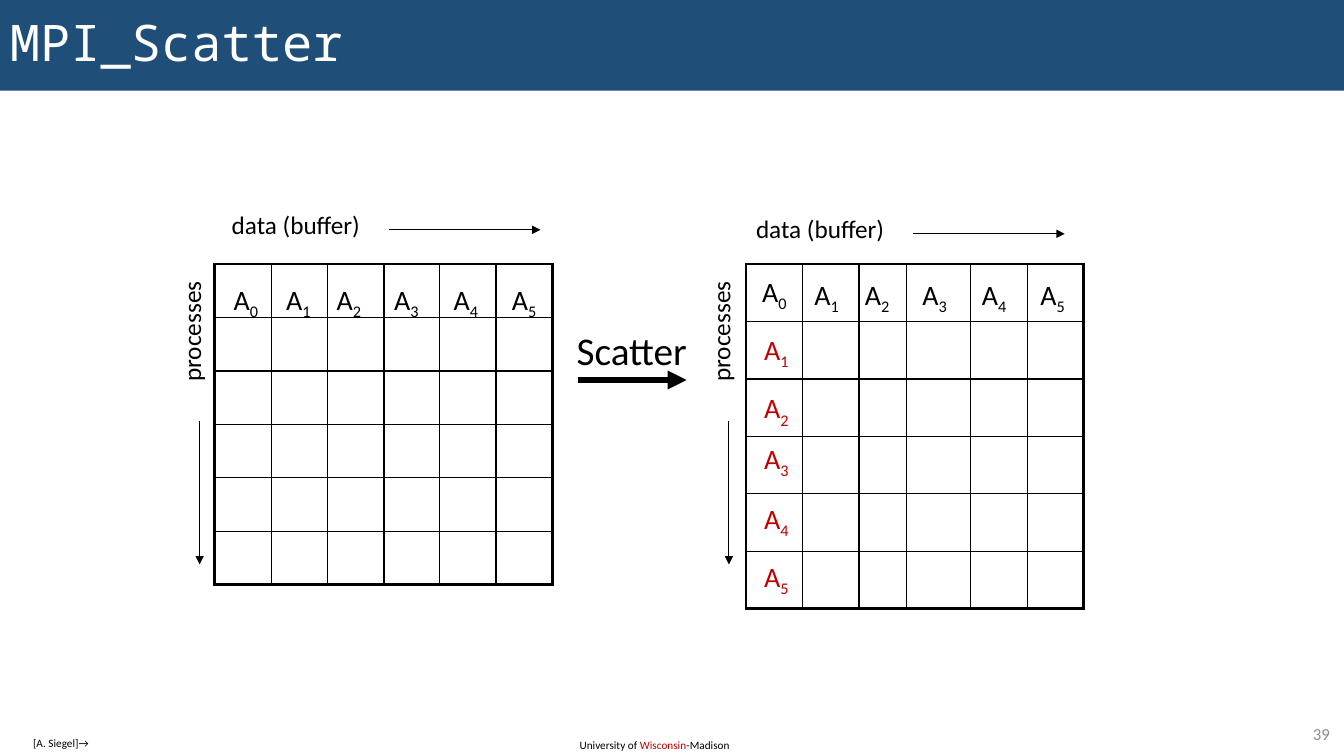
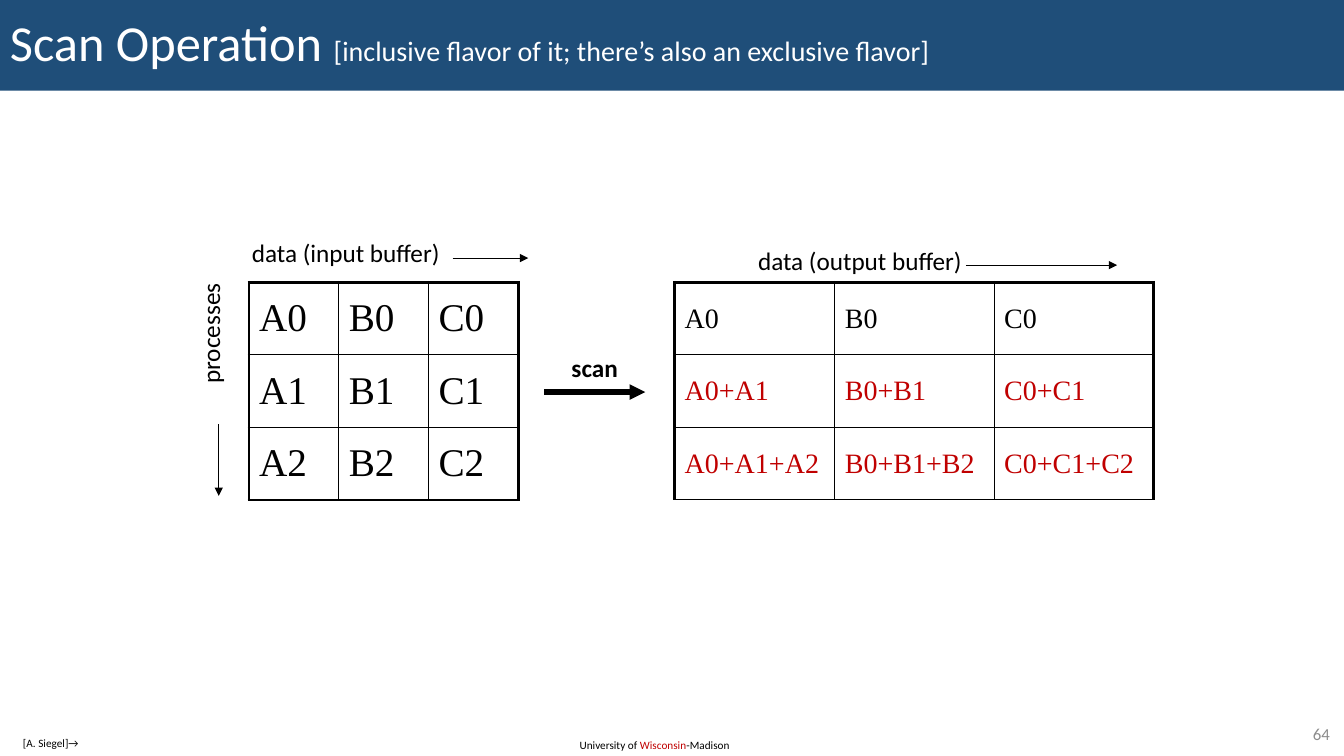
from pptx import Presentation
from pptx.dml.color import RGBColor
from pptx.enum.shapes import MSO_CONNECTOR, MSO_SHAPE
from pptx.enum.text import MSO_ANCHOR, MSO_AUTO_SIZE, PP_ALIGN
from pptx.oxml.ns import qn
from pptx.util import Inches, Pt
from lxml import etree

RECT = MSO_SHAPE.RECTANGLE
LINE = MSO_CONNECTOR.STRAIGHT
MIDDLE = MSO_ANCHOR.MIDDLE
RIGHT = PP_ALIGN.RIGHT
GROW = MSO_AUTO_SIZE.SHAPE_TO_FIT_TEXT

BLUE = RGBColor(0x1F, 0x4E, 0x79)
RED = RGBColor(0xC0, 0x00, 0x00)
GREY = RGBColor(0x8C, 0x8C, 0x8C)
BLACK = RGBColor(0, 0, 0)
WHITE = RGBColor(255, 255, 255)

SANS = "Calibri"
MONO = "Noto Sans Mono"
SERIF = "Times New Roman"
THIN, THICK = 1, 2.25


def write(frame, *pieces, font=SANS):
    """Fill the first paragraph with (words, size, colour) runs."""
    para = frame.paragraphs[0]
    for words, size, color in pieces:
        run = para.add_run()
        run.text = words
        run.font.name = font
        run.font.size = Pt(size)
        run.font.color.rgb = color
    return para


def arrow(slide, left, top, right, bottom, width=0.75):
    line = slide.shapes.add_connector(
        LINE, Inches(left), Inches(top), Inches(right), Inches(bottom))
    line.line.color.rgb = BLACK
    line.line.width = Pt(width)
    tail = etree.SubElement(line.line._get_or_add_ln(), qn("a:tailEnd"))
    tail.set("type", "triangle")
    etree.SubElement(line._element.spPr, qn("a:effectLst"))


deck = Presentation()
deck.slide_width = Inches(13.33)
deck.slide_height = Inches(7.5)
blank = deck.slide_layouts[6]
scatter = deck.slides.add_slide(blank)
scan = deck.slides.add_slide(blank)

# Title bands and footers
heads = [
    (scatter, MONO, [("MPI_Scatter", 36, WHITE)], "39", 0.23),
    (scan, SANS, [
        ("Scan Operation ", 36, WHITE),
        ("[inclusive flavor of it; there’s also an exclusive flavor]", 20, WHITE),
    ], "64", 0.13),
]
school = [("University of ", 8, BLACK), ("Wisconsin", 8, RED), ("-Madison", 8, BLACK)]
for slide, font, title, number, left in heads:
    band = slide.shapes.add_shape(RECT, 0, 0, deck.slide_width, Inches(0.9))
    band.shadow.inherit = False
    band.fill.solid()
    band.fill.fore_color.rgb = BLUE
    band.line.fill.background()
    band.text_frame.vertical_anchor = MIDDLE
    para = write(band.text_frame, *title, font=font)
    para.alignment = PP_ALIGN.LEFT
    para.line_spacing = 0.9

    feet = [
        (5.65, 7.28, 1.72, 0.24, school),
        (left, 7.26, 0.97, 0.24, [("[A. Siegel]→", 8, BLACK)]),
        (12.53, 7.13, 0.76, 0.29, [(number, 12, GREY)]),
    ]
    for *place, pieces in feet:
        box = slide.shapes.add_textbox(*map(Inches, place))
        box.text_frame.word_wrap = True
        para = write(box.text_frame, *pieces)
    # The page number comes last
    box.text_frame.vertical_anchor = MIDDLE
    para.alignment = RIGHT

# Tables: slide, left, top, column widths, row height, rows, size,
# colour below the first row, bottom border
empty = [[""] * 6] * 6
inputs = [[f"{name}{row}" for name in "ABC"] for row in range(3)]
sums = [["+".join(f"{name}{i}" for i in range(row + 1)) for name in "ABC"]
        for row in range(3)]
tables = [
    (scatter, 2.13, 2.62, [0.56, 0.56, 0.56, 0.55, 0.56, 0.56], 0.53,
     empty, 18, BLACK, THICK),
    (scatter, 7.4, 2.62, [0.56, 0.56, 0.47, 0.64, 0.56, 0.56], 0.57,
     empty, 18, BLACK, THICK),
    (scan, 2.47, 2.8, [0.89] * 3, 0.72, inputs, 28, BLACK, THICK),
    (scan, 6.69, 2.8, [1.59, 1.58, 1.58], 0.72, sums, 20, RED, THIN),
]
for slide, left, top, widths, height, rows, size, color, base in tables:
    last, end = len(rows) - 1, len(widths) - 1
    table = slide.shapes.add_table(
        len(rows), len(widths), Inches(left), Inches(top),
        Inches(sum(widths)), Inches(height * len(rows))).table
    table.first_row = table.horz_banding = False
    for col, width in zip(table.columns, widths):
        col.width = Inches(width)
    for r, row in enumerate(rows):
        table.rows[r].height = Inches(height)
        for c, words in enumerate(row):
            cell = table.cell(r, c)
            cell.vertical_anchor = MIDDLE
            if words:
                write(cell.text_frame, (words, size, color if r else BLACK), font=SERIF)
            edges = {
                "a:lnL": THIN if c else THICK,
                "a:lnR": THICK if c == end else THIN,
                "a:lnT": THIN if r else THICK,
                "a:lnB": base if r == last else THIN,
            }
            props = cell._tc.get_or_add_tcPr()
            for tag, weight in edges.items():
                edge = etree.SubElement(props, qn(tag), w=str(Pt(weight)))
                fill = etree.SubElement(edge, qn("a:solidFill"))
                etree.SubElement(fill, qn("a:srgbClr"), val=str(BLACK))
            cell.fill.solid()
            cell.fill.fore_color.rgb = WHITE

# Captions: slide, left, top, width, height, words, size, bold, turn
captions = [
    (scatter, 2.2, 2.03, 1.49, 0.4, "data (buffer)", 18, False, 0),
    (scatter, 7.4, 2.07, 1.49, 0.4, "data (buffer)", 18, False, 0),
    (scatter, 1.29, 3.08, 1.21, 0.4, "processes", 18, False, 270),
    (scatter, 6.54, 3.08, 1.21, 0.4, "processes", 18, False, 270),
    (scatter, 5.62, 3.19, 1.31, 0.57, "Scatter", 28, False, 0),
    (scan, 2.4, 2.31, 2.09, 0.4, "data (input buffer)", 18, False, 0),
    (scan, 7.42, 2.38, 2.25, 0.4, "data (output buffer)", 18, False, 0),
    (scan, 1.48, 3.1, 1.21, 0.4, "processes", 18, False, 270),
    (scan, 5.57, 3.45, 0.67, 0.4, "scan", 18, True, 0),
]
for slide, *place, words, size, bold, turn in captions:
    box = slide.shapes.add_textbox(*map(Inches, place))
    box.rotation = turn
    box.text_frame.word_wrap = False
    box.text_frame.auto_size = GROW
    para = write(box.text_frame, (words, size, BLACK))
    para.runs[0].font.bold = bold

# Data items: left, top, index, colour
across = [2.22, 2.74, 3.24, 3.81, 4.4, 4.98]
down = [3.25, 3.83, 4.33, 4.93, 5.5]
items = [(x, 2.75, i, BLACK) for i, x in enumerate(across)]
items += [(x + 5.24, 2.7 if i else 2.67, i, BLACK) for i, x in enumerate(across)]
items += [(7.48, y, i, RED) for i, y in enumerate(down, 1)]
for left, top, index, color in items:
    box = scatter.shapes.add_textbox(
        Inches(left), Inches(top), Inches(0.46), Inches(0.44))
    box.text_frame.word_wrap = False
    box.text_frame.auto_size = GROW
    para = write(box.text_frame, ("A", 20, color), (str(index), 20, color))
    para.runs[1]._r.get_or_add_rPr().set("baseline", "-25000")

arrow(scatter, 3.86, 2.28, 5.36, 2.28)
arrow(scatter, 9.06, 2.32, 10.56, 2.32)
arrow(scatter, 1.98, 4.18, 1.98, 5.6)
arrow(scatter, 7.23, 4.18, 7.23, 5.6)
arrow(scatter, 5.73, 3.77, 6.81, 3.77, 4.5)
arrow(scan, 4.49, 2.56, 5.24, 2.56)
arrow(scan, 9.58, 2.63, 11.08, 2.63)
arrow(scan, 2.17, 4.21, 2.17, 4.92)
arrow(scan, 5.4, 3.89, 6.4, 3.89, 3.75)

deck.save("out.pptx")
